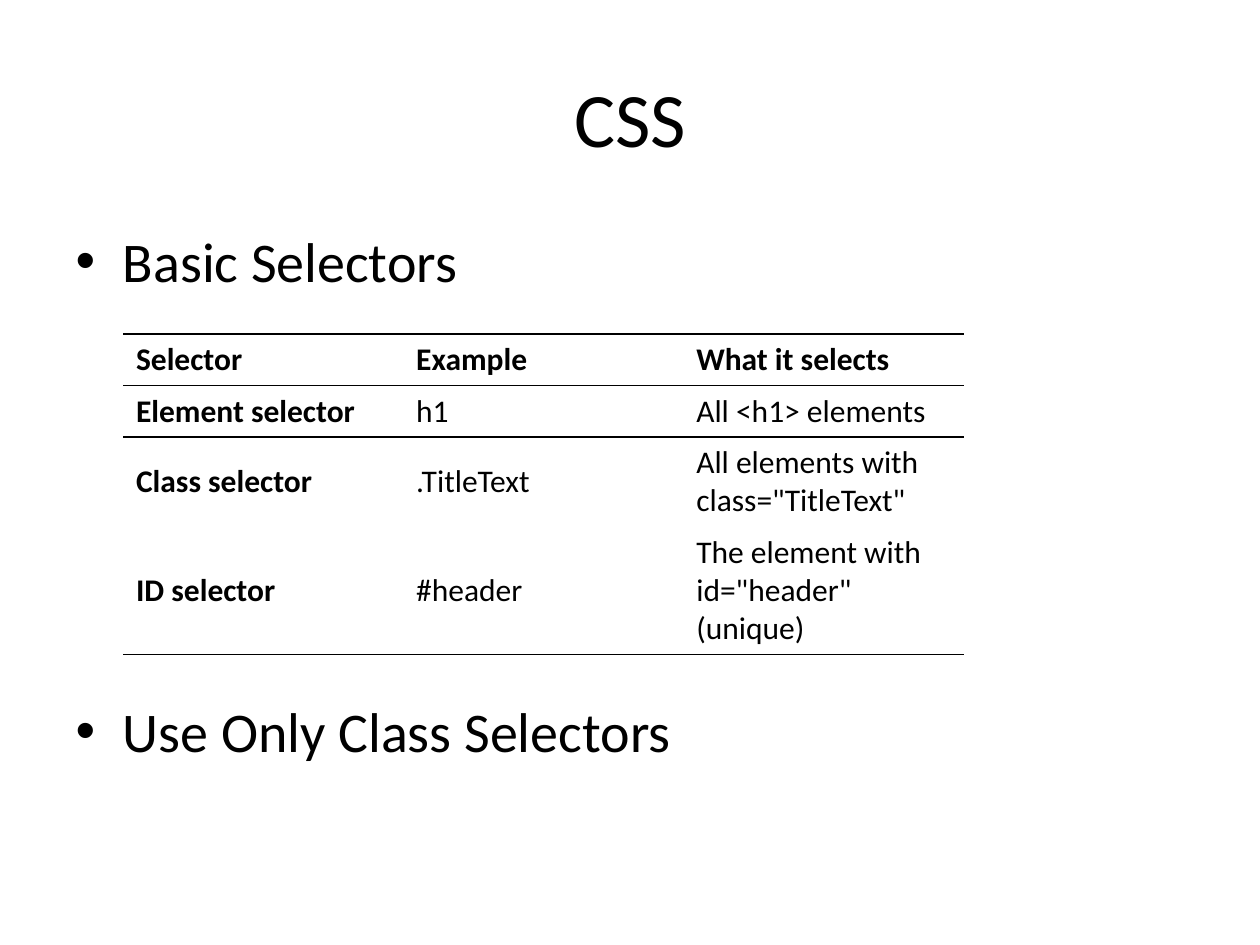
import dataclasses

import pptx
import pptx.dml.color
import pptx.enum.text
import pptx.oxml
import pptx.oxml.ns
import pptx.util
from pptx.util import Inches


@dataclasses.dataclass(frozen=True)
class Theme:
    font: str = "Calibri"
    ink: pptx.dml.color.RGBColor = pptx.dml.color.RGBColor(0, 0, 0)
    title_size: int = 44
    bullet_size: int = 32
    table_size: int = 18
    rule_width: int = 1


THEME = Theme()
NO_STYLE_NO_GRID = "{2D5ABB26-0587-4C30-8999-92F81FD0307C}"

SELECTORS = [
    ("Selector", "Example", "What it selects"),
    ("Element selector", "h1", "All <h1> elements"),
    ("Class selector", ".TitleText", 'All elements with class="TitleText"'),
    ("ID selector", "#header", 'The element with id="header" (unique)'),
]
ROW_HEIGHTS = (0.41, 0.41, 0.71, 1.01)


def place(shape, box):
    shape.left, shape.top, shape.width, shape.height = box


def style_text(text_frame, size, bold=False):
    for paragraph in text_frame.paragraphs:
        for run in paragraph.runs:
            run.font.name = THEME.font
            run.font.size = pptx.util.Pt(size)
            run.font.bold = bold
            run.font.color.rgb = THEME.ink


def add_title(slide, box, wording):
    title = slide.shapes.title
    place(title, box)
    title.text_frame.text = wording
    title.text_frame.vertical_anchor = pptx.enum.text.MSO_ANCHOR.MIDDLE
    title.text_frame.paragraphs[0].alignment = pptx.enum.text.PP_ALIGN.CENTER
    style_text(title.text_frame, THEME.title_size)


def add_bullets(slide, box, bullets, gap):
    """Fill the body placeholder, leaving gap points between the bullets."""
    body = slide.placeholders[1]
    place(body, box)
    body.text_frame.text = "\n".join(bullets)
    for paragraph in body.text_frame.paragraphs[1:]:
        paragraph.space_before = pptx.util.Pt(gap)
    style_text(body.text_frame, THEME.bullet_size)


def rule_cell(cell, sides):
    """Draw lines on the given sides: T for top, B for bottom."""
    properties = cell._tc.get_or_add_tcPr()
    for position, side in enumerate(sides):
        line = pptx.oxml.parse_xml(
            f'<a:ln{side} {pptx.oxml.ns.nsdecls("a")} '
            f'w="{pptx.util.Pt(THEME.rule_width)}"><a:solidFill>'
            f'<a:srgbClr val="{THEME.ink}"/></a:solidFill></a:ln{side}>'
        )
        properties.insert(position, line)


def add_selector_table(slide, box):
    frame = slide.shapes.add_table(len(SELECTORS), len(SELECTORS[0]), *box)
    table = frame.table
    table.first_row = table.horz_banding = False
    for style_id in frame._element.iter(pptx.oxml.ns.qn("a:tableStyleId")):
        style_id.text = NO_STYLE_NO_GRID
    for row, height in zip(table.rows, ROW_HEIGHTS):
        row.height = Inches(height)

    rules = {0: "TB", 1: "T", len(SELECTORS) - 1: "B"}
    for r, wordings in enumerate(SELECTORS):
        for c, wording in enumerate(wordings):
            cell = table.cell(r, c)
            cell.text_frame.text = wording
            cell.vertical_anchor = pptx.enum.text.MSO_ANCHOR.MIDDLE
            cell.fill.background()
            style_text(cell.text_frame, THEME.table_size, bold=r == 0 or c == 0)
            rule_cell(cell, rules.get(r, ""))


def main():
    deck = pptx.Presentation()
    deck.slide_width, deck.slide_height = Inches(10), Inches(7.5)
    slide = deck.slides.add_slide(deck.slide_layouts[1])
    margin, content_width = Inches(0.5), Inches(9)
    add_title(slide, (margin, Inches(0.3), content_width, Inches(1.25)), "CSS")
    add_bullets(
        slide,
        (margin, Inches(1.75), content_width, Inches(4.95)),
        ["Basic Selectors", "Use Only Class Selectors"],
        gap=230,
    )
    add_selector_table(
        slide,
        (Inches(0.98), Inches(2.65), Inches(6.67), Inches(sum(ROW_HEIGHTS))),
    )
    deck.save("out.pptx")


if __name__ == "__main__":
    main()
